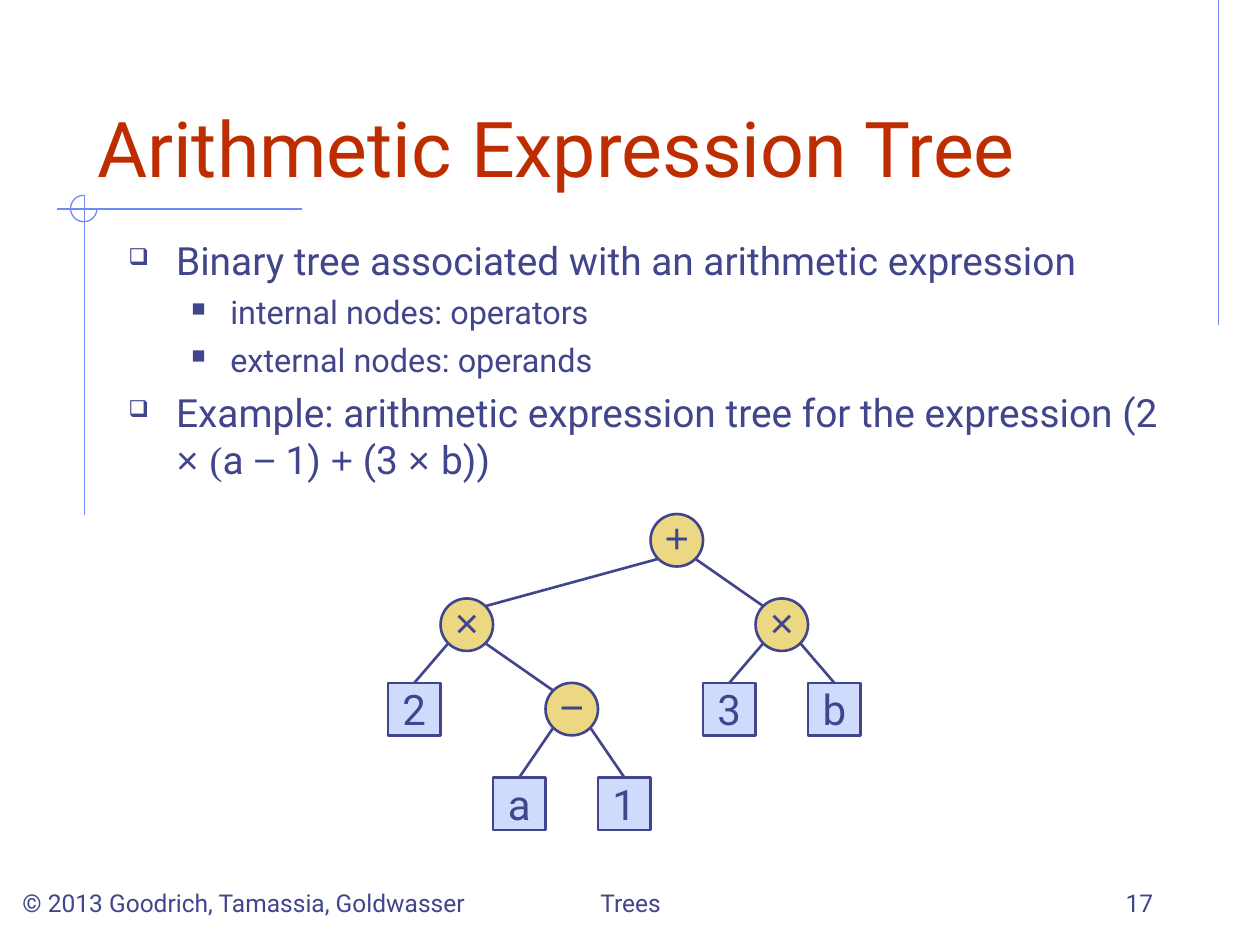
from lxml import etree
from pptx import Presentation
from pptx.dml.color import RGBColor
from pptx.enum.shapes import MSO_CONNECTOR, MSO_SHAPE
from pptx.enum.text import MSO_ANCHOR, MSO_AUTO_SIZE, PP_ALIGN
from pptx.oxml.ns import qn
from pptx.util import Inches, Pt

STRAIGHT = MSO_CONNECTOR.STRAIGHT
OVAL, RECTANGLE, ARC = MSO_SHAPE.OVAL, MSO_SHAPE.RECTANGLE, MSO_SHAPE.ARC
MIDDLE, BOTTOM = MSO_ANCHOR.MIDDLE, MSO_ANCHOR.BOTTOM
LEFT, CENTER, RIGHT = PP_ALIGN.LEFT, PP_ALIGN.CENTER, PP_ALIGN.RIGHT
NO_AUTOFIT = MSO_AUTO_SIZE.NONE
INK, RULE, RED = "40458C", "6F89F7", "BE2D00"
GOLD, PALE_BLUE = "ECD882", "CFDBFD"


def style(font, size, color=INK, name="Roboto"):
    font.size = Pt(size)
    font.name = name
    font.color.rgb = RGBColor.from_string(color)


def add_line(x1, y1, x2, y2, color, width):
    line = page.shapes.add_connector(
        STRAIGHT, Inches(x1), Inches(y1), Inches(x2), Inches(y2))
    line.line.color.rgb = RGBColor.from_string(color)
    line.line.width = Pt(width)
    etree.SubElement(line._element.spPr, qn("a:effectLst"))
    return line


deck = Presentation()
deck.slide_width, deck.slide_height = Inches(10), Inches(7.5)
page = deck.slides.add_slide(deck.slide_layouts[5])

for ends in [(9.67, 0, 9.67, 2.58), (2.4, 1.66, 0.45, 1.66), (0.67, 1.55, 0.67, 4.09)]:
    add_line(*ends, RULE, 0.75)
arc = page.shapes.add_shape(ARC, Inches(0.56), Inches(1.55), Inches(0.21), Inches(0.21))
arc.adjustments[0], arc.adjustments[1] = 0, 162
arc.shadow.inherit = False
arc.fill.background()
arc.line.color.rgb = RGBColor.from_string(RULE)
arc.line.width = Pt(0.75)

title = page.shapes.title
title.left, title.top = Inches(0.67), Inches(0.33)
title.width, title.height = Inches(8.5), Inches(1.25)
title.text_frame.text = "Arithmetic Expression Tree"
title.text_frame.auto_size = NO_AUTOFIT
title.text_frame.vertical_anchor = BOTTOM
title.text_frame.paragraphs[0].alignment = LEFT
style(title.text_frame.paragraphs[0].runs[0].font, 44, RED)

body = page.shapes.add_textbox(Inches(0.92), Inches(1.83), Inches(8.5), Inches(2.17))
body.text_frame.word_wrap = True
bullets = [
    (0, [("Binary tree associated with an arithmetic expression", "Roboto")]),
    (1, [("internal nodes: operators", "Roboto")]),
    (1, [("external nodes: operands", "Roboto")]),
    (0, [("Example: arithmetic expression tree for the expression (2 ", "Roboto"),
         ("× ", "Arial"), ("(", "Times New Roman"), ("a ", "Roboto"), ("−", "Arial"),
         (" 1) ", "Roboto"), ("+", "Arial"), (" (3 ", "Roboto"), ("× ", "Arial"),
         ("b))", "Roboto")]),
]
levels = [(0.38, 0.38, 6, "❑", 22.2), (0.81, 0.31, 5, "■", 18.5)]
for index, (level, spans) in enumerate(bullets):
    margin, hanging, space, mark, size = levels[level]
    para = body.text_frame.add_paragraph() if index else body.text_frame.paragraphs[0]
    para.level = level
    para.space_before = Pt(space if index else 0)
    props = para._p.get_or_add_pPr()
    props.set("marL", str(Inches(margin)))
    props.set("indent", str(-Inches(hanging)))
    bullet_color = etree.SubElement(props, qn("a:buClr"))
    etree.SubElement(bullet_color, qn("a:srgbClr"), val=INK)
    etree.SubElement(props, qn("a:buSzPct"), val="60000")
    etree.SubElement(props, qn("a:buChar"), char=mark)
    for text, font_name in spans:
        span = para.add_run()
        span.text = text
        style(span.font, size, INK, font_name)

NODE = 5 / 12
TREE_LEFT = 3.08
ROW_TOPS = [4.08, 4.75, 5.42, 6.17]
DIAGONAL = NODE / 2 * 0.5 ** 0.5
inorder = [("2", 2), ("×", 1), ("a", 3), ("−", 2), ("1", 3),
           ("+", 0), ("3", 2), ("×", 1), ("b", 2)]
operators = "+×−"
nodes, centers = [], []
for column, (label, row) in enumerate(inorder):
    internal = label in operators
    x, y = TREE_LEFT + column * NODE, ROW_TOPS[row]
    node = page.shapes.add_shape(
        OVAL if internal else RECTANGLE, Inches(x), Inches(y), Inches(NODE), Inches(NODE))
    node.shadow.inherit = False
    node.fill.solid()
    node.fill.fore_color.rgb = RGBColor.from_string(GOLD if internal else PALE_BLUE)
    node.line.color.rgb = RGBColor.from_string(INK)
    node.line.width = Pt(1.5)
    frame = node.text_frame
    frame.text = label
    frame.word_wrap = False
    frame.vertical_anchor = MIDDLE
    frame.margin_left = frame.margin_right = Inches(0 if internal else 0.1)
    frame.margin_top = Inches(0 if internal else 0.05)
    frame.margin_bottom = Inches(0.05)
    frame.paragraphs[0].alignment = CENTER
    style(frame.paragraphs[0].runs[0].font, 24, INK, "Arial" if internal else "Roboto")
    nodes.append(node)
    centers.append((x + NODE / 2, y + NODE / 2))

for parent, child in [(5, 1), (5, 7), (7, 8), (7, 6), (3, 4), (3, 2), (1, 0), (1, 3)]:
    (parent_x, parent_y), (child_x, child_y) = centers[parent], centers[child]
    shift = DIAGONAL if child > parent else -DIAGONAL
    edge = add_line(parent_x + shift, parent_y + DIAGONAL,
                    child_x - shift, child_y - DIAGONAL, INK, 1.5)
    if inorder[child][0] not in operators:
        edge.end_connect(nodes[child], 0)

for text, left, width, alignment in [
    ("© 2013 Goodrich, Tamassia, Goldwasser", 0.08, 3.92, LEFT),
    ("Trees", 3.42, 3.17, CENTER),
    ("17", 7.17, 2.08, RIGHT),
]:
    footer = page.shapes.add_textbox(Inches(left), Inches(6.83), Inches(width), Inches(0.5))
    footer.text_frame.text = text
    footer.text_frame.word_wrap = True
    footer.text_frame.vertical_anchor = BOTTOM
    footer.text_frame.paragraphs[0].alignment = alignment
    style(footer.text_frame.paragraphs[0].runs[0].font, 14)

deck.save("out.pptx")
